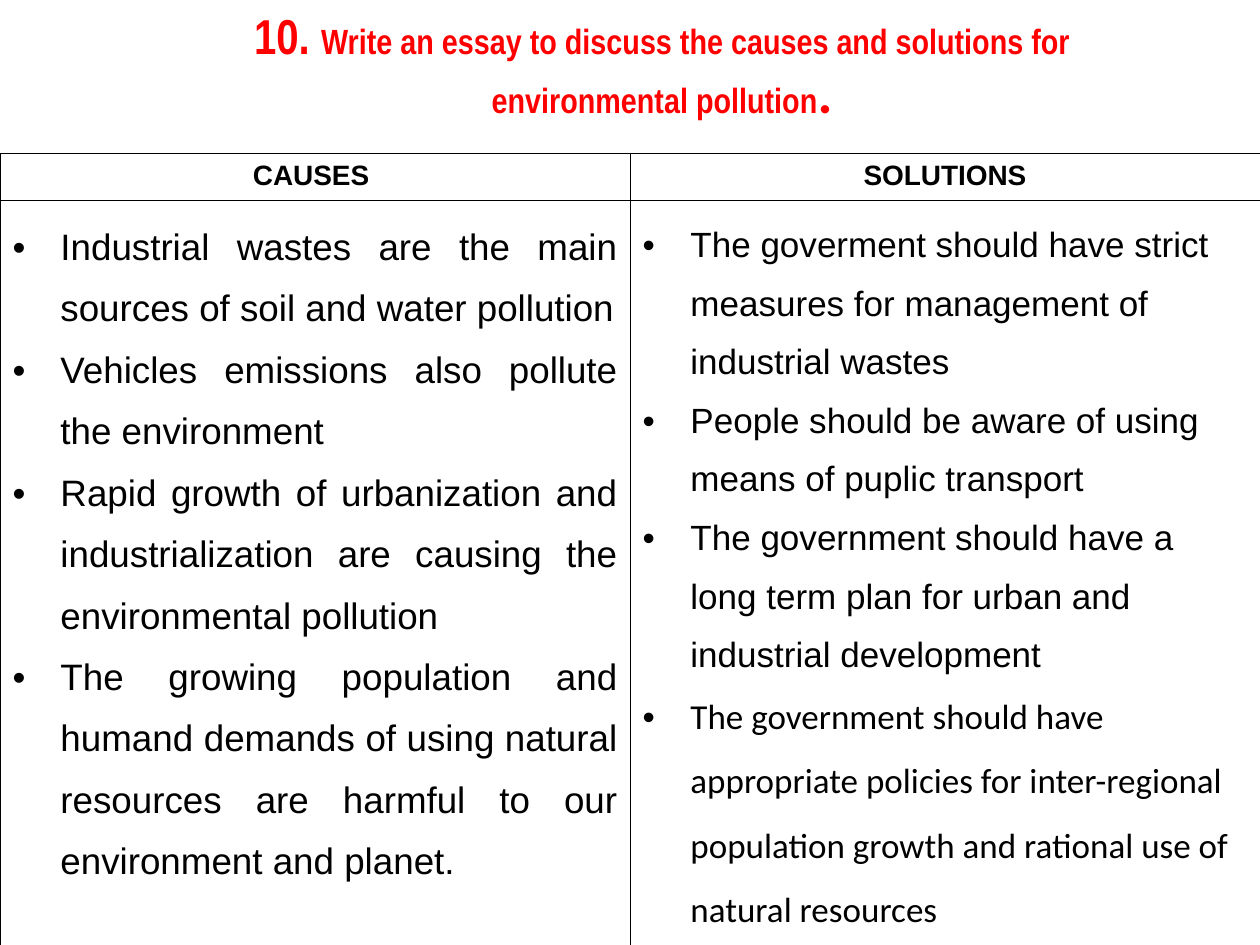
from lxml import etree
from pptx import Presentation
from pptx.dml.color import RGBColor
from pptx.enum.text import MSO_ANCHOR, MSO_AUTO_SIZE, PP_ALIGN
from pptx.oxml.ns import qn
from pptx.util import Inches, Pt

CENTER, JUSTIFY, LEFT = PP_ALIGN.CENTER, PP_ALIGN.JUSTIFY, PP_ALIGN.LEFT
TOP = MSO_ANCHOR.TOP
NO_AUTOFIT = MSO_AUTO_SIZE.NONE
TITLE_ONLY = 5

COLORS = {"title": "FF0000", "text": "000000", "line": "000000", "cell": "FFFFFF"}
WIDTH, HEIGHT = Inches(10), Inches(7.5)
HEADER_HEIGHT, BODY_HEIGHT = Inches(0.37), Inches(6.35)
BORDER = Pt(0.45)
HANGING = Inches(0.38)

TITLE = [
    ("10. ", 28, "Arial Narrow"),
    ("Write an essay to discuss the causes and solutions for environmental pollution",
     20, "Arial Narrow"),
    (".", 32, "Calibri"),
]
CAUSES = [
    "Industrial wastes are the main sources of soil and water pollution",
    "Vehicles emissions also pollute the environment",
    "Rapid growth of urbanization and industrialization are causing the environmental pollution",
    "The growing population and humand demands of using natural resources are harmful "
    "to our environment and planet.",
]
SOLUTIONS = [
    "The goverment should have strict measures for management of industrial wastes",
    "People should be aware of using means of puplic transport",
    "The government should have a long term plan for urban and industrial development",
    "The government should have appropriate policies for inter-regional population growth "
    "and rational use of natural resources",
]
COLUMNS = [
    ("CAUSES ", CAUSES, 21, JUSTIFY),
    ("SOLUTIONS", SOLUTIONS, 20, LEFT),
]


def style(font, size, face, color, bold=False):
    font.size = Pt(size)
    font.name = face
    font.bold = bold
    font.color.rgb = RGBColor.from_string(COLORS[color])


def add_title(slide):
    title = slide.shapes.title
    title.left, title.top = Inches(0.69), 0
    title.width, title.height = Inches(8.63), Inches(0.5)
    frame = title.text_frame
    frame.word_wrap = True
    frame.auto_size = NO_AUTOFIT
    frame.vertical_anchor = TOP
    frame.margin_top = Inches(0.1)
    heading = frame.paragraphs[0]
    heading.alignment = CENTER
    heading.line_spacing = 0.9
    indent = heading._p.get_or_add_pPr()
    indent.set("marL", str(Inches(0.5)))
    indent.set("indent", "0")
    for words, size, face in TITLE:
        run = heading.add_run()
        run.text = words
        style(run.font, size, face, "title", True)


def format_cell(cell):
    properties = cell._tc.get_or_add_tcPr()
    for side in ("lnL", "lnR", "lnT", "lnB"):
        line = etree.SubElement(properties, qn(f"a:{side}"), w=str(BORDER))
        fill = etree.SubElement(line, qn("a:solidFill"))
        etree.SubElement(fill, qn("a:srgbClr"), val=COLORS["line"])
    cell.fill.solid()
    cell.fill.fore_color.rgb = RGBColor.from_string(COLORS["cell"])


def add_bullet(paragraph):
    properties = paragraph._p.get_or_add_pPr()
    properties.set("marL", str(HANGING))
    properties.set("indent", str(-HANGING))
    color = etree.SubElement(properties, qn("a:buClr"))
    etree.SubElement(color, qn("a:srgbClr"), val=COLORS["text"])
    etree.SubElement(properties, qn("a:buFont"), typeface="Arial")
    etree.SubElement(properties, qn("a:buChar"), char="•")


def fill_header(cell, label):
    format_cell(cell)
    cell.text_frame.text = label
    paragraph = cell.text_frame.paragraphs[0]
    paragraph.alignment = CENTER
    style(paragraph.runs[0].font, 16, "Arial", "text", True)


def fill_points(cell, points, size, alignment):
    format_cell(cell)
    cell.text_frame.text = "\n".join(points)
    for point in cell.text_frame.paragraphs:
        add_bullet(point)
        point.alignment = alignment
        point.line_spacing = 1.5
        face = "Calibri" if point.text == SOLUTIONS[-1] else "Arial"
        style(point.runs[0].font, size, face, "text")


def add_comparison(slide):
    frame = slide.shapes.add_table(2, len(COLUMNS), 0, Inches(1.22), WIDTH,
                                   HEADER_HEIGHT + BODY_HEIGHT)
    table = frame.table
    table.first_row = False
    table.horz_banding = False
    table.rows[0].height, table.rows[1].height = HEADER_HEIGHT, BODY_HEIGHT
    for column, (label, points, size, alignment) in enumerate(COLUMNS):
        fill_header(table.cell(0, column), label)
        fill_points(table.cell(1, column), points, size, alignment)


def main():
    deck = Presentation()
    deck.slide_width, deck.slide_height = WIDTH, HEIGHT
    slide = deck.slides.add_slide(deck.slide_layouts[TITLE_ONLY])
    add_title(slide)
    add_comparison(slide)
    deck.save("out.pptx")


if __name__ == "__main__":
    main()
